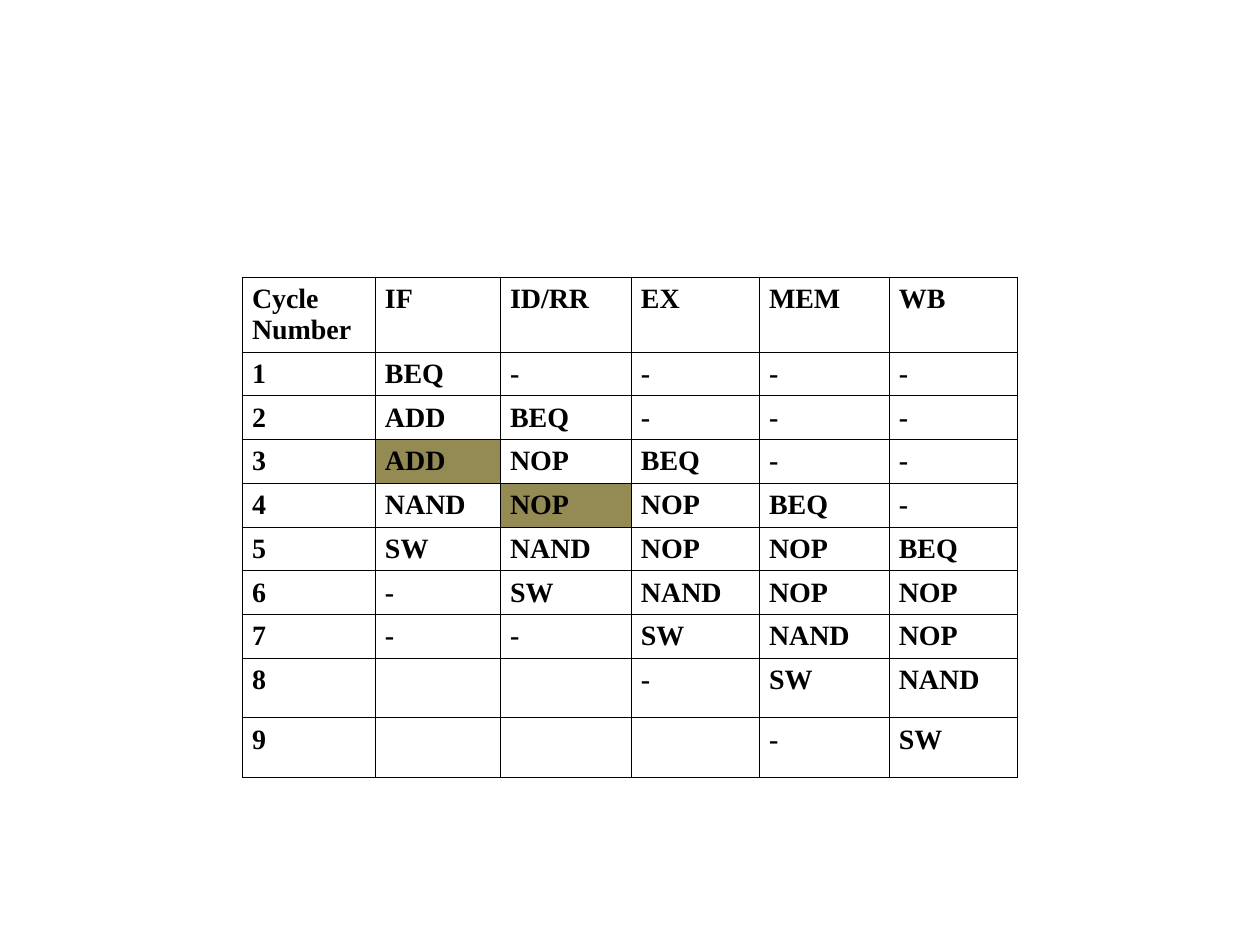
from typing import NamedTuple

from lxml import etree
from pptx import Presentation
from pptx.dml.color import RGBColor
from pptx.oxml.ns import qn
from pptx.table import _Cell
from pptx.util import Pt

BLACK = RGBColor(0x00, 0x00, 0x00)
STALL_OLIVE = RGBColor(0x94, 0x8A, 0x54)
FONT = "Times New Roman"
BORDER_WIDTH = 0.45
COLUMN_WIDTHS = (76, 71.5, 74.8, 73.2, 74.2, 73.3)


class Cycle(NamedTuple):
    labels: tuple[str, ...]
    height: float = 25
    stalled_column: int = -1


CYCLES = (
    Cycle(("Cycle Number", "IF", "ID/RR", "EX", "MEM", "WB"), height=42.8),
    Cycle(("1", "BEQ", "-", "-", "-", "-")),
    Cycle(("2", "ADD", "BEQ", "-", "-", "-")),
    Cycle(("3", "ADD", "NOP", "BEQ", "-", "-"), stalled_column=1),
    Cycle(("4", "NAND", "NOP", "NOP", "BEQ", "-"), stalled_column=2),
    Cycle(("5", "SW", "NAND", "NOP", "NOP", "BEQ")),
    Cycle(("6", "-", "SW", "NAND", "NOP", "NOP")),
    Cycle(("7", "-", "-", "SW", "NAND", "NOP")),
    Cycle(("8", "", "", "-", "SW", "NAND"), height=34),
    Cycle(("9", "", "", "", "-", "SW"), height=34),
)


def draw_borders(cell: _Cell) -> None:
    properties = cell._tc.get_or_add_tcPr()
    for side in ("lnL", "lnR", "lnT", "lnB"):
        border = etree.SubElement(
            properties, qn(f"a:{side}"), w=str(int(Pt(BORDER_WIDTH)))
        )
        border_fill = etree.SubElement(border, qn("a:solidFill"))
        etree.SubElement(border_fill, qn("a:srgbClr"), val=str(BLACK))


def fill_cell(cell: _Cell, label: str, stalled: bool) -> None:
    cell.margin_left = cell.margin_right = Pt(5.4)
    cell.margin_top = cell.margin_bottom = Pt(3.6)
    draw_borders(cell)
    if stalled:
        cell.fill.solid()
        cell.fill.fore_color.rgb = STALL_OLIVE
    else:
        cell.fill.background()
    if label:
        run = cell.text_frame.paragraphs[0].add_run()
        run.text = label
        run.font.name = FONT
        run.font.size = Pt(16)
        run.font.bold = True
        run.font.color.rgb = BLACK


presentation = Presentation()
presentation.slide_width = Pt(720)
presentation.slide_height = Pt(540)
slide = presentation.slides.add_slide(presentation.slide_layouts[6])

pipeline = slide.shapes.add_table(
    len(CYCLES),
    len(COLUMN_WIDTHS),
    Pt(138.6),
    Pt(158.4),
    Pt(sum(COLUMN_WIDTHS)),
    Pt(sum(cycle.height for cycle in CYCLES)),
).table
pipeline.first_row = False
pipeline.horz_banding = False

for column, width in zip(pipeline.columns, COLUMN_WIDTHS):
    column.width = Pt(width)

for row, cycle in zip(pipeline.rows, CYCLES):
    row.height = Pt(cycle.height)
    for index, (cell, label) in enumerate(zip(row.cells, cycle.labels)):
        fill_cell(cell, label, index == cycle.stalled_column)

presentation.save("out.pptx")
